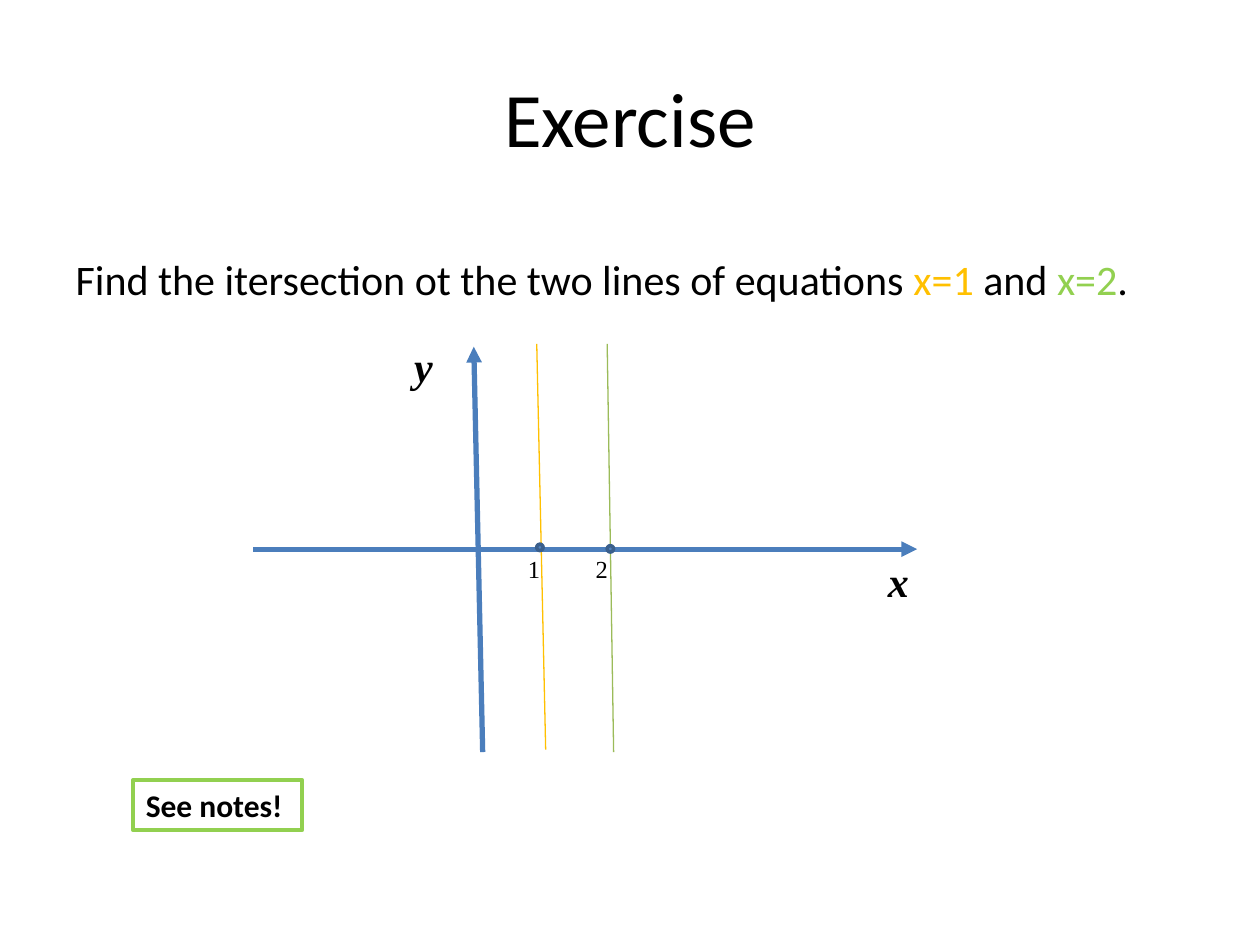
from pptx import Presentation
from pptx.dml.color import RGBColor
from pptx.enum.shapes import MSO_CONNECTOR, MSO_SHAPE
from pptx.enum.text import MSO_ANCHOR, MSO_AUTO_SIZE, PP_ALIGN
from pptx.oxml.ns import qn
from pptx.util import Cm, Pt
from lxml.etree import SubElement

BLACK, AXIS, ORANGE, GREEN = "000000", "4B7EBC", "FFC000", "92D050"


def color(hex_value):
    return RGBColor.from_string(hex_value)


def add_run(paragraph, text, hex_value=BLACK, **font_format):
    run = paragraph.add_run()
    run.text = text
    run.font.color.rgb = color(hex_value)
    for attribute, value in ({"name": "Calibri"} | font_format).items():
        setattr(run.font, attribute, value)


prs = Presentation()
prs.slide_width, prs.slide_height = Cm(25.4), Cm(19.05)
slide = prs.slides.add_slide(prs.slide_layouts[1])

# Title and question
title, question = slide.shapes.title, slide.placeholders[1]
for placeholder, top, height in ((title, 0.76, 3.18), (question, 4.98, 3.07)):
    placeholder.left, placeholder.top = Cm(1.27), Cm(top)
    placeholder.width, placeholder.height = Cm(22.86), Cm(height)

title.text_frame.vertical_anchor = MSO_ANCHOR.MIDDLE
heading = title.text_frame.paragraphs[0]
heading.alignment = PP_ALIGN.CENTER
add_run(heading, "Exercise", size=Pt(44))

sentence = question.text_frame.paragraphs[0]
properties = sentence._p.get_or_add_pPr()
properties.set("marL", "0")
properties.set("indent", "0")
SubElement(properties, qn("a:buNone"))
for text, hex_value in (
    ("Find the itersection ot the two lines of equations ", BLACK),
    ("x=1", ORANGE),
    (" and ", BLACK),
    ("x=2", GREEN),
    (".", BLACK),
):
    add_run(sentence, text, hex_value, size=Pt(24))

# Reminder box
reminder = slide.shapes.add_shape(MSO_SHAPE.RECTANGLE, Cm(2.69), Cm(15.72), Cm(3.4), Cm(1.02))
reminder.shadow.inherit = False
reminder.fill.background()
reminder.line.color.rgb = color(GREEN)
reminder.line.width = Pt(2.25)
reminder.text_frame.word_wrap = False
reminder.text_frame.auto_size = MSO_AUTO_SIZE.SHAPE_TO_FIT_TEXT
reminder.text_frame.paragraphs[0].alignment = PP_ALIGN.LEFT
add_run(reminder.text_frame.paragraphs[0], "See notes!", size=Pt(18), bold=True)

# Graph: axes with arrows, then the lines x=1 and x=2
graph = slide.shapes.add_group_shape().shapes
for x1, y1, x2, y2, hex_value, width, has_arrow in (
    (9.73, 15.16, 9.55, 6.99, AXIS, 3, True),
    (5.11, 11.07, 18.49, 11.07, AXIS, 3, True),
    (10.82, 6.93, 11, 15.11, ORANGE, 0.75, False),
    (12.24, 6.93, 12.37, 15.16, "9BBB59", 0.75, False),
):
    line = graph.add_connector(MSO_CONNECTOR.STRAIGHT, Cm(x1), Cm(y1), Cm(x2), Cm(y2))
    line.line.color.rgb = color(hex_value)
    line.line.width = Pt(width)
    if has_arrow:
        SubElement(line.line._get_or_add_ln(), qn("a:tailEnd"), type="triangle")
    SubElement(line._element.spPr, qn("a:effectLst"))

axis_format = {"size": Pt(24), "bold": True, "italic": True}
tick_format = {"size": Pt(14)}
for text, left, top, height, font_format in (
    ("x", 17.65, 11.07, 1.27, axis_format),
    ("y", 8.1, 6.73, 1.27, axis_format),
    ("1", 10.39, 11.05, 0.86, tick_format),
    ("2", 11.76, 11.05, 0.86, tick_format),
):
    label = graph.add_textbox(Cm(left), Cm(top), Cm(0.99), Cm(height)).text_frame
    label.word_wrap = True
    label.auto_size = MSO_AUTO_SIZE.SHAPE_TO_FIT_TEXT
    add_run(label.paragraphs[0], text, name="Times New Roman", **font_format)

for left, top in ((10.82, 10.97), (12.24, 11)):
    point = graph.add_shape(MSO_SHAPE.FLOWCHART_CONNECTOR, Cm(left), Cm(top), Cm(0.13), Cm(0.13))
    point.shadow.inherit = False
    point.fill.solid()
    point.fill.fore_color.rgb = color("4F81BD")
    point.line.color.rgb = color("3A5F8C")
    point.line.width = Pt(2)

prs.save("out.pptx")
